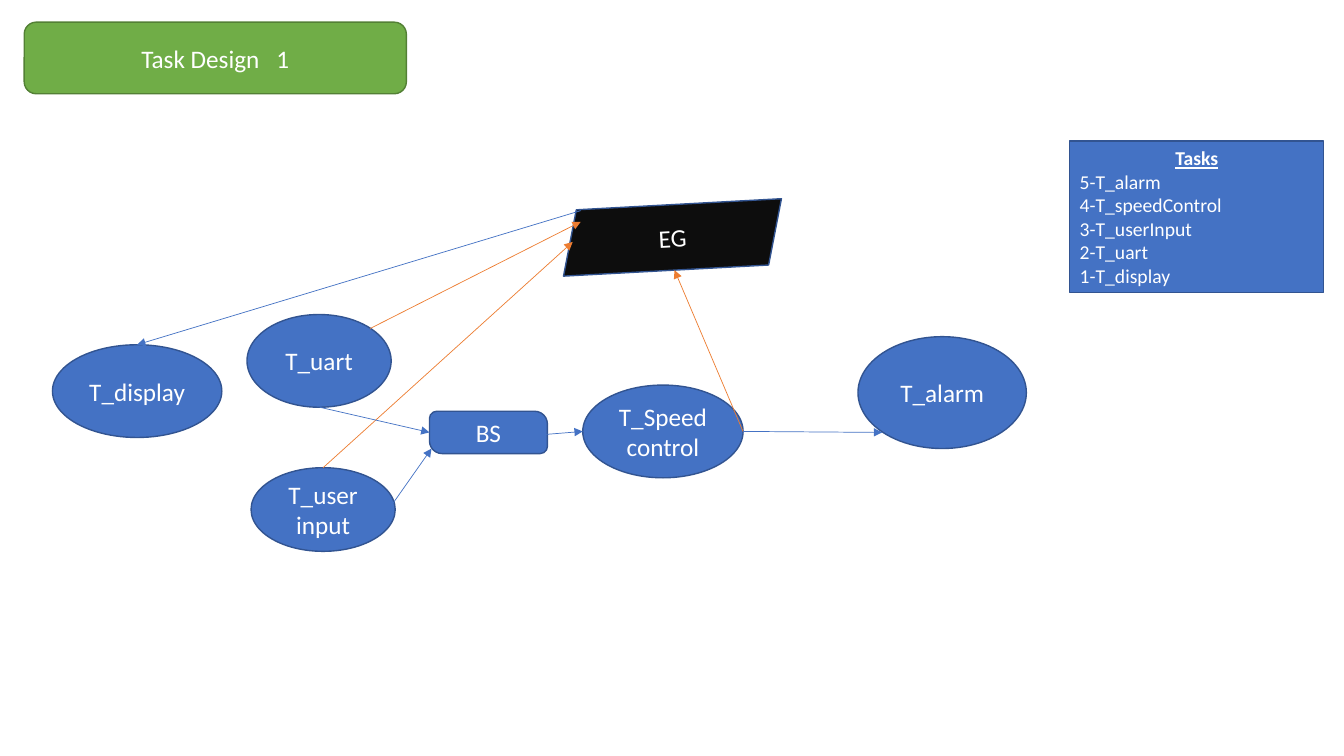
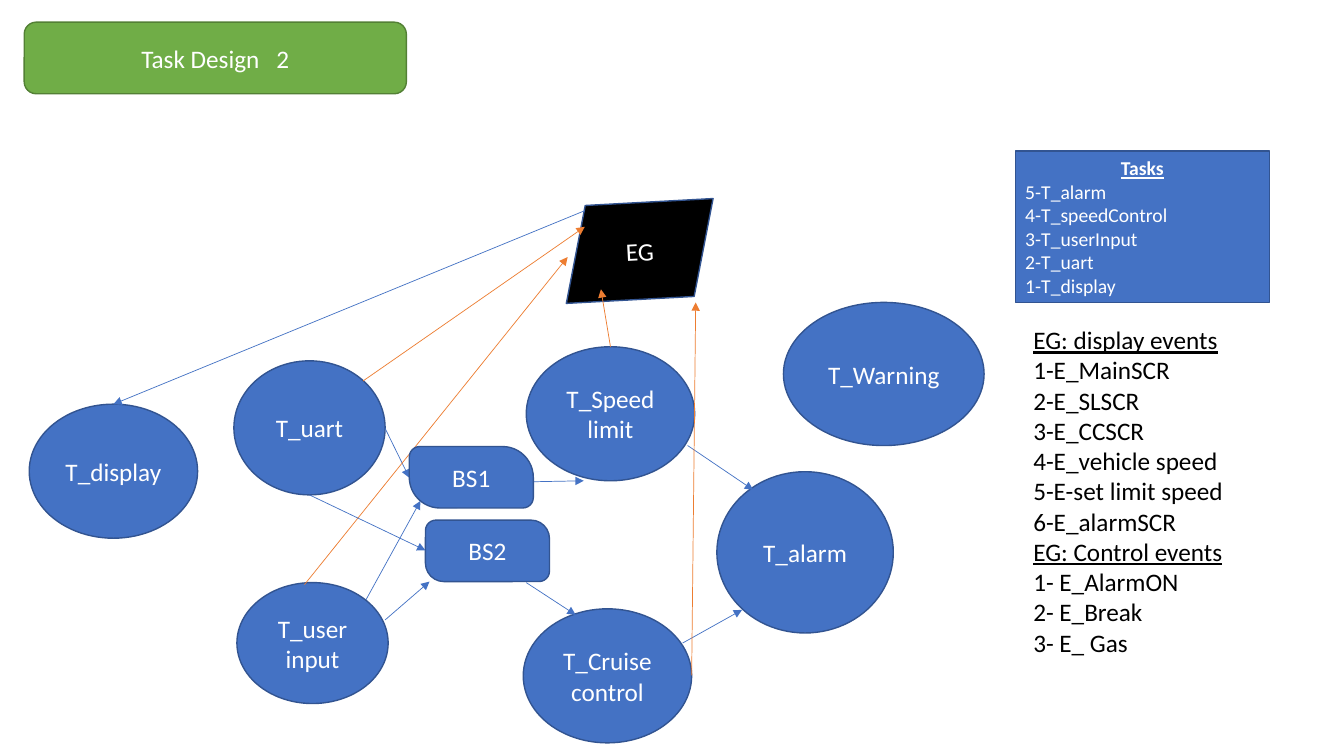
"""Build two slides that compare task designs for a speed controller."""
from dataclasses import dataclass

from lxml.etree import SubElement
from pptx import Presentation
from pptx.dml.color import RGBColor as Rgb
from pptx.enum.shapes import MSO_CONNECTOR as Connector, MSO_SHAPE as Shape
from pptx.enum.text import PP_ALIGN as Align
from pptx.oxml.ns import qn
from pptx.util import Pt


@dataclass(frozen=True)
class Theme:
    font: str = "Calibri"
    blue: str = "4472C4"
    blue_edge: str = "325491"
    green: str = "70AD47"
    green_edge: str = "538035"
    orange: str = "ED7D31"
    soft_black: str = "0D0D0D"
    black: str = "000000"
    white: str = "FFFFFF"
    body: int = 18
    small: int = 14
    edge: float = 1
    arrow: float = 0.5


theme = Theme()
PX = 9144

KINDS = {
    "task": (Shape.OVAL, theme.blue, theme.blue_edge, [], 0),
    "buffer": (Shape.ROUND_2_DIAG_RECTANGLE, theme.blue, theme.blue_edge, [0.17, 0.3], 0),
    "round buffer": (Shape.ROUND_2_DIAG_RECTANGLE, theme.blue, theme.blue_edge, [0.17, 0.5], 0),
    "soft events": (Shape.PARALLELOGRAM, theme.soft_black, theme.blue_edge, [], 356.9),
    "events": (Shape.PARALLELOGRAM, theme.black, theme.blue_edge, [], 356.9),
    "list": (Shape.RECTANGLE, theme.blue, theme.blue_edge, [], 0),
    "title": (Shape.ROUNDED_RECTANGLE, theme.green, theme.green_edge, [], 0),
}

TASKS = ["Tasks", "5-T_alarm", "4-T_speedControl", "3-T_userInput", "2-T_uart", "1-T_display"]
EVENTS = [
    "EG: display events", "1-E_MainSCR", "2-E_SLSCR", "3-E_CCSCR", "4-E_vehicle speed",
    "5-E-set limit speed", "6-E_alarmSCR",
    "EG: Control events", "1- E_AlarmON", "2- E_Break", "3- E_ Gas",
]

first_design = [(
    [
        ("task", "T_display", (52, 342, 168, 92)),
        ("task", "T_alarm", (851, 334, 167, 111)),
        ("task", "T_Speed control", (578, 382, 159, 92)),
        ("task", "T_user input", (249, 464, 143, 83)),
        ("task", "T_uart", (245, 312, 143, 92)),
        ("buffer", "BS", (426, 408, 117, 42)),
        ("soft events", "EG", (557, 203, 220, 65)),
    ],
    [
        (theme.blue, (541, 431), (578, 428)),
        (theme.blue, (737, 428), (875, 429)),
        (theme.orange, (737, 428), (669, 268)),
        (theme.orange, "T_user input", (568, 240)),
        (theme.orange, (367, 326), (576, 220)),
        (theme.blue, (576, 209), "T_display"),
        (theme.blue, (317, 404), (426, 429)),
        (theme.blue, (390, 499), (428, 445)),
    ],
)]

second_design = [
    (
        [
            ("task", "T_display", (29, 401, 167, 133)),
            ("task", "T_alarm", (711, 468, 175, 160)),
            ("task", "T_Warning", (777, 300, 199, 142)),
            ("task", "T_Speed limit", (522, 344, 167, 133)),
            ("task", "T_Cruise control", (519, 604, 167, 133)),
            ("task", "T_user input", (235, 578, 150, 120)),
            ("task", "T_uart", (232, 358, 150, 133)),
            ("buffer", "BS2", (422, 516, 123, 61)),
            ("events", "EG", (559, 201, 151, 96)),
        ],
        [
            (theme.blue, (382, 425), (406, 474)),
            (theme.blue, (382, 615), (426, 577)),
            (theme.blue, (525, 478), (579, 477)),
            (theme.blue, (522, 578), (571, 610)),
            (theme.blue, (682, 442), (747, 486)),
            (theme.blue, (677, 638), (736, 605)),
            (theme.orange, "T_Speed limit", (596, 287)),
            (theme.orange, (686, 670), (690, 300)),
            (theme.orange, (302, 580), (563, 255)),
            (theme.orange, (360, 378), (580, 225)),
            (theme.blue, (580, 209), "T_display"),
        ],
    ),
    (
        [("round buffer", "BS1", (406, 443, 123, 61))],
        [
            (theme.blue, (307, 491), (422, 546)),
            (theme.blue, (363, 595), (417, 497)),
        ],
    ),
]

designs = [
    ("1", first_design, (1061, 140), None),
    ("2", second_design, (1007, 150), (1015, 317, 244, 343)),
]


def write(frame, lines, size, color, align):
    frame.text = "\n".join(lines)
    for paragraph in frame.paragraphs:
        paragraph.alignment = align
        for run in paragraph.runs:
            run.font.name = theme.font
            run.font.size = Pt(size)
            run.font.color.rgb = Rgb.from_string(color)


def draw(slide, kind, lines, box, size=theme.body, align=Align.CENTER):
    outline, fill, edge, corners, turn = KINDS[kind]
    block = slide.shapes.add_shape(outline, *(length * PX for length in box))
    block.shadow.inherit = False
    block.rotation = turn
    for index, corner in enumerate(corners):
        block.adjustments[index] = corner
    block.fill.solid()
    block.fill.fore_color.rgb = Rgb.from_string(fill)
    block.line.color.rgb = Rgb.from_string(edge)
    block.line.width = Pt(theme.edge)
    write(block.text_frame, lines, size, theme.white, align)
    return block


deck = Presentation()
deck.slide_width = 1333 * PX
deck.slide_height = 750 * PX

for number, layers, tasks_corner, events_box in designs:
    slide = deck.slides.add_slide(deck.slide_layouts[6])

    title = draw(slide, "title", ["Task Design"], (24, 22, 379, 71))
    heading = title.text_frame.paragraphs[0]
    for piece in (" ", number):
        run = heading.add_run()
        run.text = piece
        run.font.name = theme.font
        run.font.size = Pt(theme.body)
        run.font.color.rgb = Rgb.from_string(theme.white)
    heading.runs[1].font._element.set("spc", "800")

    parts = {}
    for nodes, links in layers:
        for kind, label, box in nodes:
            parts[label] = draw(slide, kind, [label], box)
        for color, start, end in links:
            ends = [(0, 0) if isinstance(point, str) else point for point in (start, end)]
            arrow = slide.shapes.add_connector(
                Connector.STRAIGHT, *(length * PX for point in ends for length in point))
            if isinstance(start, str):
                arrow.begin_connect(parts[start], 0)
            if isinstance(end, str):
                arrow.end_connect(parts[end], 0)
            arrow.line.color.rgb = Rgb.from_string(color)
            arrow.line.width = Pt(theme.arrow)
            SubElement(arrow.line._get_or_add_ln(), qn("a:tailEnd"), type="triangle")
            SubElement(arrow._element.spPr, qn("a:effectLst"))

    tasks = draw(slide, "list", TASKS, (*tasks_corner, 252, 150), theme.small, Align.LEFT)
    tasks_heading = tasks.text_frame.paragraphs[0]
    tasks_heading.alignment = Align.CENTER
    tasks_heading.runs[0].font.bold = True
    tasks_heading.runs[0].font.underline = True

    if events_box:
        events = slide.shapes.add_textbox(*(length * PX for length in events_box)).text_frame
        events.word_wrap = True
        write(events, EVENTS, theme.body, theme.black, Align.LEFT)
        for paragraph in events.paragraphs:
            paragraph.runs[0].font.underline = paragraph.text.startswith("EG:")

deck.save("out.pptx")
